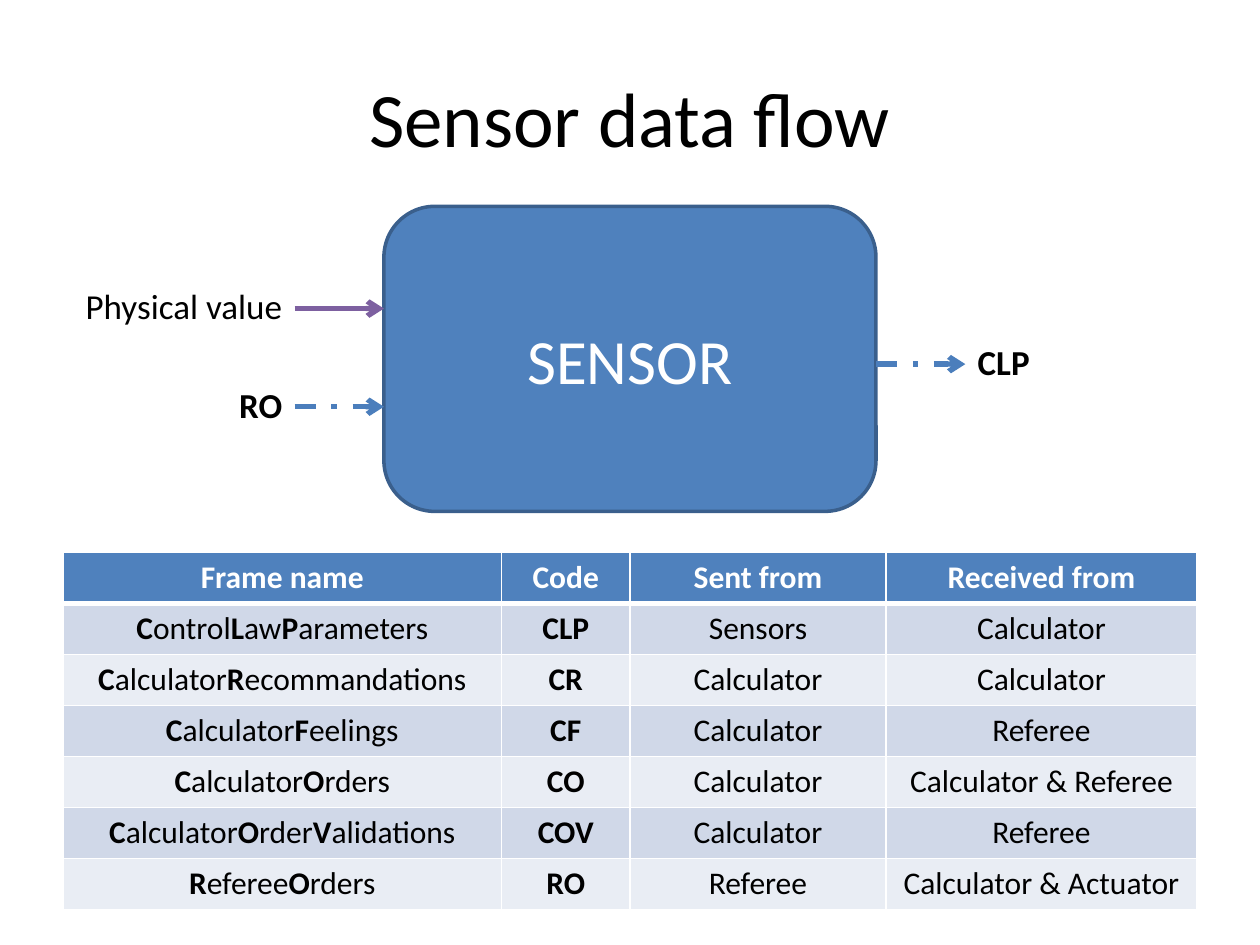
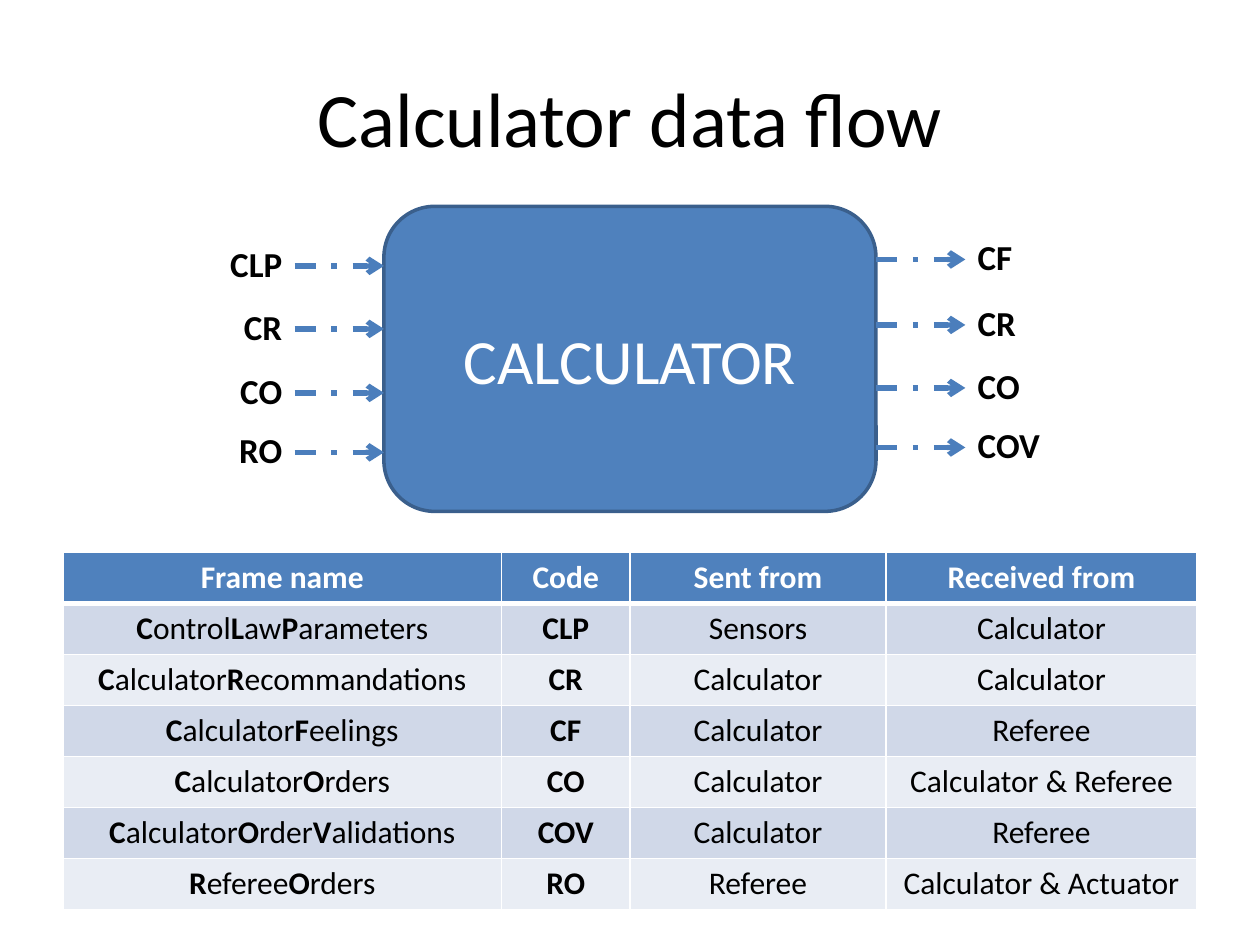
"""Build the sensor and calculator data flow slides."""
from itertools import groupby

from lxml import etree
from pptx import Presentation
from pptx import util as u
from pptx.dml.color import RGBColor
from pptx.enum import dml, shapes, text
from pptx.oxml.ns import qn

FONT = "Calibri"
BLACK = RGBColor(0x00, 0x00, 0x00)
WHITE = RGBColor(0xFF, 0xFF, 0xFF)
BLUE = RGBColor(0x4F, 0x81, 0xBD)
BLUE_EDGE = RGBColor(0x3A, 0x5F, 0x8C)
FRAME_LINE = RGBColor(0x4B, 0x7E, 0xBC)
PHYSICAL_LINE = RGBColor(0x7D, 0x60, 0xA0)
BANDS = (RGBColor(0xD0, 0xD8, 0xE8), RGBColor(0xE9, 0xED, 0xF4))

LEFT, CENTER, RIGHT = text.PP_ALIGN.LEFT, text.PP_ALIGN.CENTER, text.PP_ALIGN.RIGHT
BOX_LEFT, BOX_RIGHT = 7.74, 17.66
ARROW_LENGTH = 1.8
LABEL_WIDTH, LABEL_HEIGHT = 5.36, 1.12
LABEL_RISE = 0.6

COLUMNS = (8.84, 2.59, 5.16, 6.27)
ROW_HEIGHT = 1.03
FRAMES = (
    ("Frame name", "Code", "Sent from", "Received from"),
    ("ControlLawParameters", "CLP", "Sensors", "Calculator"),
    ("CalculatorRecommandations", "CR", "Calculator", "Calculator"),
    ("CalculatorFeelings", "CF", "Calculator", "Referee"),
    ("CalculatorOrders", "CO", "Calculator", "Calculator & Referee"),
    ("CalculatorOrderValidations", "COV", "Calculator", "Referee"),
    ("RefereeOrders", "RO", "Referee", "Calculator & Actuator"),
)
PHYSICAL = "Physical value"


def format_run(r, size, color, bold=False):
    r.font.name = FONT
    r.font.size = u.Pt(size)
    r.font.color.rgb = color
    r.font.bold = bold


def write(tf, words, size, color, align, bold=False):
    tf.word_wrap = True
    p = tf.paragraphs[0]
    p.text = words
    p.alignment = align
    format_run(p.runs[0], size, color, bold)


def add_title(s, words):
    sp = s.shapes.add_textbox(u.Cm(1.27), u.Cm(0.76), u.Cm(22.86), u.Cm(3.18))
    write(sp.text_frame, words, 44, BLACK, CENTER)
    sp.text_frame.vertical_anchor = text.MSO_ANCHOR.MIDDLE


def add_block(s, name):
    sp = s.shapes.add_shape(shapes.MSO_SHAPE.ROUNDED_RECTANGLE, u.Cm(BOX_LEFT),
                            u.Cm(4.16), u.Cm(BOX_RIGHT - BOX_LEFT), u.Cm(6.15))
    sp.shadow.inherit = False
    sp.fill.solid()
    sp.fill.fore_color.rgb = BLUE
    sp.line.color.rgb = BLUE_EDGE
    sp.line.width = u.Pt(2)
    write(sp.text_frame, name, 36, WHITE, CENTER)
    sp.text_frame.vertical_anchor = text.MSO_ANCHOR.MIDDLE


def add_arrow(s, x, y, physical):
    line = s.shapes.add_connector(shapes.MSO_CONNECTOR.STRAIGHT, u.Cm(x), u.Cm(y),
                                  u.Cm(x + ARROW_LENGTH), u.Cm(y))
    line.line.color.rgb = PHYSICAL_LINE if physical else FRAME_LINE
    line.line.width = u.Pt(3)
    if not physical:
        line.line.dash_style = dml.MSO_LINE.DASH_DOT
    sp_pr = line._element.spPr
    etree.SubElement(sp_pr.find(qn("a:ln")), qn("a:tailEnd"), type="arrow")
    etree.SubElement(sp_pr, qn("a:effectLst"))


def add_label(s, x, y, words, align, bold):
    sp = s.shapes.add_textbox(u.Cm(x), u.Cm(y - LABEL_RISE),
                              u.Cm(LABEL_WIDTH), u.Cm(LABEL_HEIGHT))
    write(sp.text_frame, words, 20, BLACK, align, bold)
    sp.text_frame.auto_size = text.MSO_AUTO_SIZE.SHAPE_TO_FIT_TEXT


def add_input(s, words, y):
    physical = words == PHYSICAL
    start = BOX_LEFT - ARROW_LENGTH
    add_arrow(s, start, y, physical)
    add_label(s, start - LABEL_WIDTH, y, words, RIGHT, not physical)


def add_output(s, words, y):
    add_arrow(s, BOX_RIGHT, y, False)
    add_label(s, BOX_RIGHT + ARROW_LENGTH, y, words, LEFT, True)


def add_borders(cell, row):
    tc_pr = cell._tc.get_or_add_tcPr()
    widths = {"L": 1, "R": 1, "T": 3 if row == 1 else 1, "B": 3 if row == 0 else 1}
    for side, width in widths.items():
        ln = etree.SubElement(tc_pr, qn(f"a:ln{side}"), w=str(u.Pt(width)))
        fill = etree.SubElement(ln, qn("a:solidFill"))
        etree.SubElement(fill, qn("a:srgbClr"), val=str(WHITE))


def write_initials(p, words):
    for is_initial, letters in groupby(words, str.isupper):
        r = p.add_run()
        r.text = "".join(letters)
        format_run(r, 18, BLACK, is_initial)


def fill_cell(cell, words, row, column):
    add_borders(cell, row)
    cell.fill.solid()
    cell.fill.fore_color.rgb = BANDS[(row - 1) % 2] if row else BLUE
    p = cell.text_frame.paragraphs[0]
    p.alignment = CENTER
    if row and column < 2:
        write_initials(p, words)
    else:
        p.text = words
        format_run(p.runs[0], 18, BLACK if row else WHITE, row == 0)


def add_frame_table(s):
    table = s.shapes.add_table(len(FRAMES), len(COLUMNS), u.Cm(1.27), u.Cm(11.13),
                               u.Cm(sum(COLUMNS)), u.Cm(ROW_HEIGHT * len(FRAMES))).table
    for column, width in zip(table.columns, COLUMNS):
        column.width = u.Cm(width)
    for i, frame in enumerate(FRAMES):
        table.rows[i].height = u.Cm(ROW_HEIGHT)
        for j, words in enumerate(frame):
            fill_cell(table.cell(i, j), words, i, j)


def add_flow_slide(prs, name, inputs, outputs):
    s = prs.slides.add_slide(prs.slide_layouts[6])
    add_title(s, f"{name} data flow")
    add_block(s, name.upper())
    for words, y in inputs:
        add_input(s, words, y)
    for words, y in outputs:
        add_output(s, words, y)
    add_frame_table(s)


def main():
    prs = Presentation()
    prs.slide_width, prs.slide_height = u.Cm(25.4), u.Cm(19.05)
    add_flow_slide(prs, "Sensor",
                   inputs=((PHYSICAL, 6.22), ("RO", 8.2)),
                   outputs=(("CLP", 7.34),))
    add_flow_slide(prs, "Calculator",
                   inputs=(("CLP", 5.36), ("CR", 6.63), ("CO", 7.92), ("RO", 9.12)),
                   outputs=(("CF", 5.23), ("CR", 6.55), ("CO", 7.82), ("COV", 9.02)))
    prs.save("out.pptx")


main()
